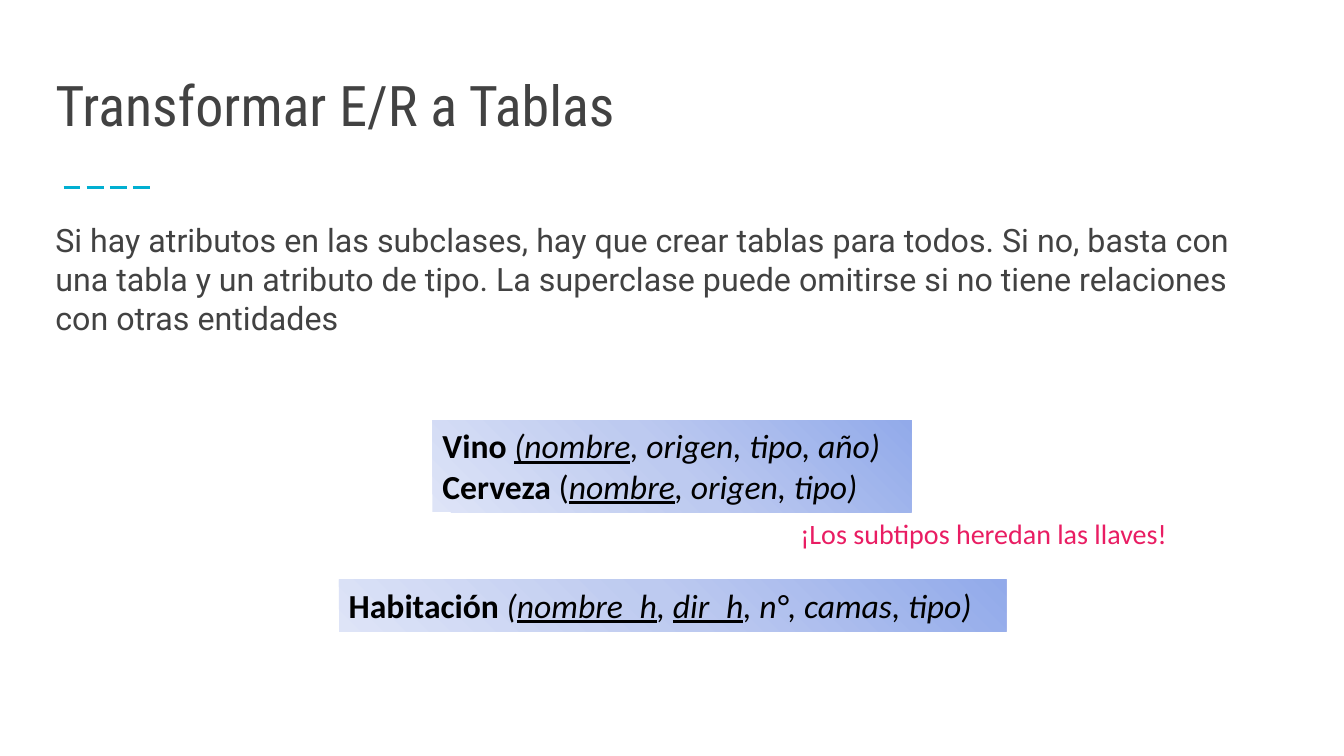
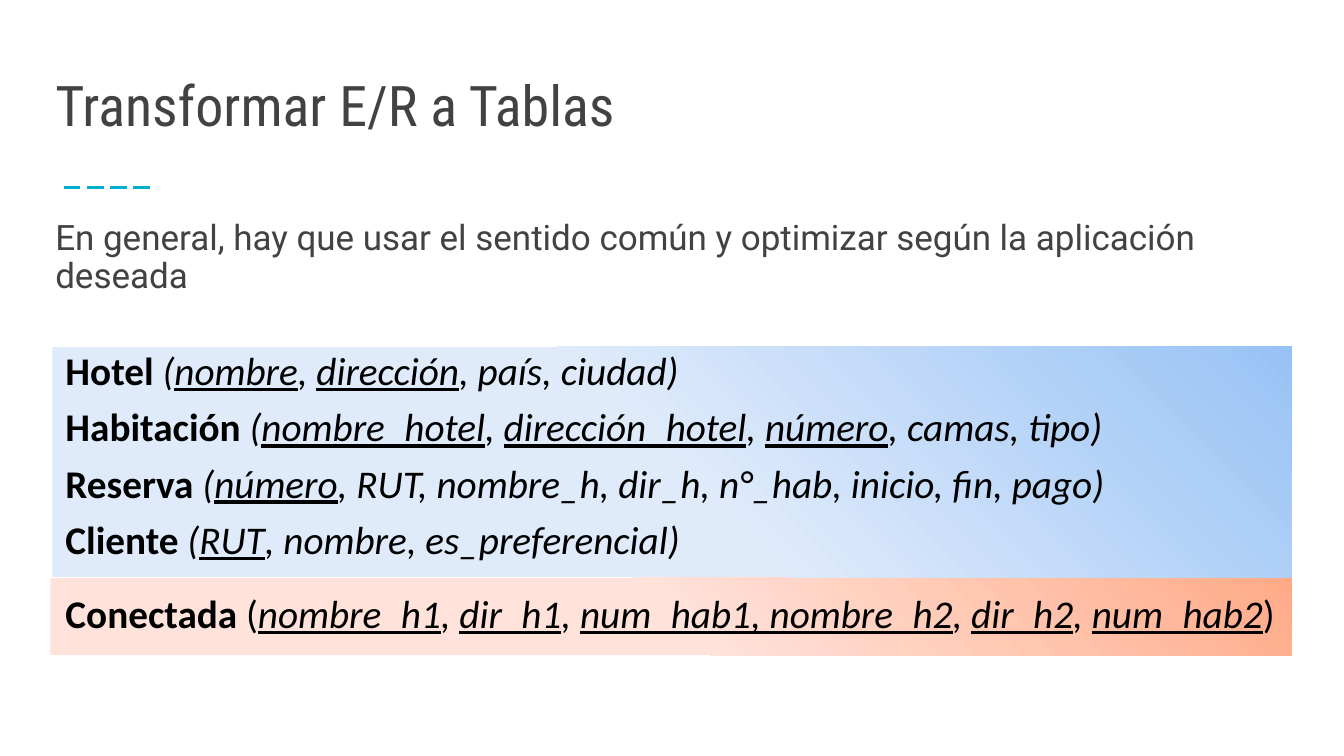
import pptx
import pptx.util
import pptx.dml.color
import pptx.enum.dml
import pptx.enum.shapes
import pptx.enum.text
import pptx.oxml
import pptx.oxml.ns

WIDTH, HEIGHT = pptx.util.Inches(13.33), pptx.util.Inches(7.5)
ACCENT, GREY, BLACK, PINK = "01AFD1", "424242", "000000", "E91D63"
PERIWINKLE = ("92AAEA", "BDCAF0", "DEE4F7")
BLUE = ("98C2F5", "DFEBFB", "DFEBFB")
ORANGE = ("FFAA87", "FFE3DB", "FFE3DB")

RUN_STYLES = {
    "e": {"bold": True},
    "p": {},
    "a": {"italic": True},
    "k": {"italic": True, "underline": True},
}
TITLE_BOX = (3.38, 7.2, 93.17, 14.27)
BODY_BOX = (3.38, 28.53, 93.17, 60.27)
TITLE = "Transformar E/R a Tablas"


def colour(value):
    return pptx.dml.color.RGBColor.from_string(value)


def place(box):
    left, top, width, height = box
    return [round(share * side / 100) for share, side in
            ((left, WIDTH), (top, HEIGHT), (width, WIDTH), (height, HEIGHT))]


def apply_format(target, values):
    for name, value in values.items():
        setattr(target, name, value)


def write_text(shape, paragraphs, font_name, size, font_colour, anchor="TOP",
               inset=(0.1, 0.05), spacing=1.0, before=0, after=0):
    frame = shape.text_frame
    apply_format(frame, {
        "word_wrap": True,
        "vertical_anchor": getattr(pptx.enum.text.MSO_ANCHOR, anchor),
        "margin_left": pptx.util.Inches(inset[0]),
        "margin_right": pptx.util.Inches(0.1),
        "margin_top": pptx.util.Inches(inset[1]),
        "margin_bottom": pptx.util.Inches(0.05),
    })
    for index, runs in enumerate(paragraphs):
        paragraph = frame.add_paragraph() if index else frame.paragraphs[0]
        apply_format(paragraph, {
            "alignment": pptx.enum.text.PP_ALIGN.LEFT,
            "line_spacing": spacing,
            "space_before": pptx.util.Pt(before if index else 0),
            "space_after": pptx.util.Pt(after),
        })
        for style, text in runs:
            run = paragraph.add_run()
            run.text = text
            apply_format(run.font, {"name": font_name, "size": pptx.util.Pt(size),
                                    **RUN_STYLES[style]})
            run.font.color.rgb = colour(font_colour)


def add_text(slide, box, text, *format_values, **options):
    shape = slide.shapes.add_textbox(*place(box))
    write_text(shape, [[("p", text)]], *format_values, **options)


def fill_radial(shape, colours):
    stops = "".join(
        f'<a:gs pos="{index * 50000}"><a:srgbClr val="{value}"/></a:gs>'
        for index, value in enumerate(colours))
    gradient = pptx.oxml.parse_xml(
        f'<a:gradFill {pptx.oxml.ns.nsdecls("a")} rotWithShape="1"><a:gsLst>{stops}</a:gsLst>'
        '<a:path path="circle"><a:fillToRect l="100000" b="100000"/></a:path></a:gradFill>')
    shape.fill.background()
    properties = shape._element.spPr
    properties.replace(properties.find(pptx.oxml.ns.qn("a:noFill")), gradient)


def relation(styles, text):
    return list(zip(styles, text.split("|")))


def add_relations(slide, box, colours, relations, size, **options):
    shape = slide.shapes.add_shape(pptx.enum.shapes.MSO_SHAPE.RECTANGLE, *place(box))
    shape.shadow.inherit = False
    fill_radial(shape, colours)
    shape.line.fill.background()
    write_text(shape, relations, "Calibri", size, BLACK, **options)


def add_heading(slide):
    add_text(slide, TITLE_BOX, TITLE, "Roboto Condensed", 40, GREY,
             anchor="MIDDLE", spacing=0.9)
    left, top, width, _ = place((4.73, 24.8, 6.67, 0))
    rule = slide.shapes.add_connector(
        pptx.enum.shapes.MSO_CONNECTOR.STRAIGHT, left, top, left + width, top)
    apply_format(rule.line, {"width": pptx.util.Pt(1.5),
                             "dash_style": pptx.enum.dml.MSO_LINE.LONG_DASH})
    rule.line.color.rgb = colour(ACCENT)
    rule._element.spPr.append(
        pptx.oxml.parse_xml(f'<a:effectLst {pptx.oxml.ns.nsdecls("a")}/>'))


def add_slide(presentation, body, size, spacing):
    slide = presentation.slides.add_slide(presentation.slide_layouts[6])
    add_heading(slide)
    add_text(slide, BODY_BOX, body, "Roboto", size, GREY, spacing=spacing, after=21)
    return slide


def build_subclasses(presentation):
    slide = add_slide(
        presentation,
        "Si hay atributos en las subclases, hay que crear tablas para todos. Si no, basta con "
        "una tabla y un atributo de tipo. La superclase puede omitirse si no tiene relaciones "
        "con otras entidades", 23, 1.0)
    add_relations(slide, (32.18, 55.6, 35.63, 12.13), PERIWINKLE, [
        relation("eka", "Vino |(nombre|, origen, tipo, año)"),
        relation("epka", "Cerveza |(|nombre|, origen, tipo)"),
    ], 24)
    add_relations(slide, (25.21, 76.67, 49.66, 6.87), PERIWINKLE, [
        relation("eakaka", "Habitación |(|nombre_h|, |dir_h|, n°, camas, tipo)"),
    ], 24)
    add_text(slide, (58.81, 67.73, 29.33, 5.87), "¡Los subtipos heredan las llaves!",
             "Calibri", 20, PINK)


def build_schema(presentation):
    slide = add_slide(
        presentation,
        "En general, hay que usar el sentido común y optimizar según la aplicación deseada",
        25, 0.9)
    add_relations(slide, (3.75, 76.4, 92.35, 10.27), ORANGE, [
        relation("epkakakakakp", "Conectada| (|nombre_h1|, |dir_h1|, |num_hab1, nombre_h2"
                                 "|, |dir_h2|, |num_hab2|)"),
    ], 28, inset=(0.15, 0.17), spacing=0.9)
    add_relations(slide, (3.9, 45.87, 92.2, 30.53), BLUE, [
        relation("eakaka", "Hotel |(|nombre|, |dirección|, país, ciudad)"),
        relation("eakakaka", "Habitación |(|nombre_hotel|, |dirección_hotel|, |número"
                             "|, camas, tipo)"),
        relation("eaka", "Reserva |(|número|, RUT, nombre_h, dir_h, n°_hab, inicio, fin, pago)"),
        relation("eaka", "Cliente |(|RUT|, nombre, es_preferencial)"),
    ], 28, inset=(0.13, 0.05), spacing=0.9, before=10)


def main():
    presentation = pptx.Presentation()
    apply_format(presentation, {"slide_width": WIDTH, "slide_height": HEIGHT})
    build_subclasses(presentation)
    build_schema(presentation)
    presentation.save("out.pptx")


if __name__ == "__main__":
    main()
